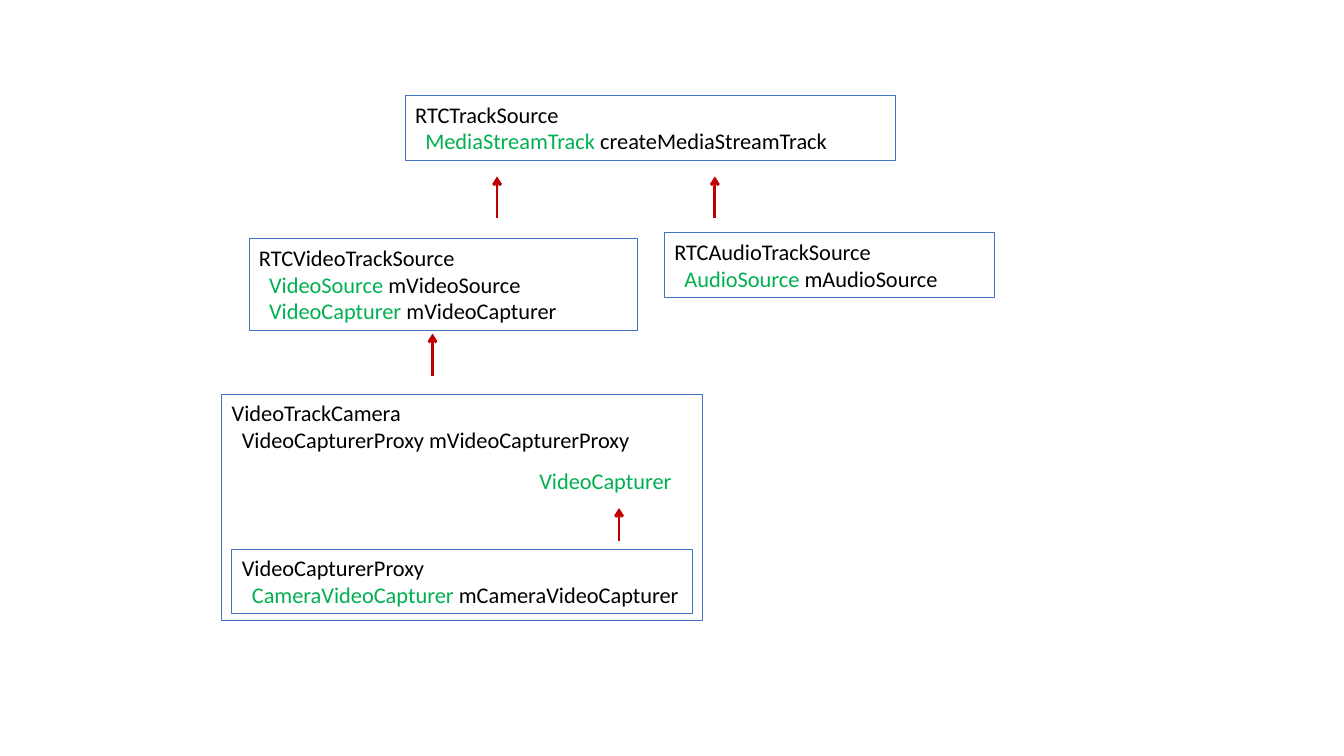
from lxml import etree
from pptx import Presentation
from pptx.dml.color import RGBColor
from pptx.enum.shapes import MSO_CONNECTOR, MSO_SHAPE
from pptx.enum.text import MSO_ANCHOR, PP_ALIGN
from pptx.oxml.ns import qn
from pptx.util import Inches, Pt

RECT, STRAIGHT = MSO_SHAPE.RECTANGLE, MSO_CONNECTOR.STRAIGHT
TOP, LEFT = MSO_ANCHOR.TOP, PP_ALIGN.LEFT

COLORS = {"text": "000000", "type": "00B050", "border": "4472C4", "arrow": "C00000"}
FONT, SIZE = "Calibri", Pt(16)
CELL = Inches(0.1)  # square grid cell, about 133 columns by 75 rows
LINE_ROWS, PAD_ROWS = 2.7, 1  # height of a text line and of both insets

# Class boxes: column, row, columns wide, class name, members (type, name)
CLASSES = [
    (40.2, 9.5, 48.6, "RTCTrackSource", [("MediaStreamTrack", "createMediaStreamTrack")]),
    (24.7, 23.7, 38.5, "RTCVideoTrackSource",
     [("VideoSource", "mVideoSource"), ("VideoCapturer", "mVideoCapturer")]),
    (65.9, 23.1, 32.7, "RTCAudioTrackSource", [("AudioSource", "mAudioSource")]),
    (23, 54.5, 45.7, "VideoCapturerProxy", [("CameraVideoCapturer", "mCameraVideoCapturer")]),
]
# Inheritance arrows: column, row of the tail, row of the head
ARROWS = [(49.3, 21.6, 17.5), (70.9, 21.6, 17.5), (42.9, 37.3, 33.1), (61.4, 53.7, 50.4)]


def cells(*counts):
    return [round(n * CELL) for n in counts]


def color(name):
    return RGBColor.from_string(COLORS[name])


def write_lines(tf, lines):
    """Each line is a list of (text, color name); members are indented one column."""
    tf.word_wrap = True
    tf.vertical_anchor = TOP
    for i, runs in enumerate(lines):
        p = tf.paragraphs[0] if i == 0 else tf.add_paragraph()
        p.alignment = LEFT
        p.font.name, p.font.size = FONT, SIZE
        if i:
            p._p.get_or_add_pPr().set("marL", str(CELL))
        for text, tone in runs:
            r = p.add_run()
            r.text = text
            r.font.color.rgb = color(tone)


def add_box(s, col, row, width, height, lines):
    sp = s.shapes.add_shape(RECT, *cells(col, row, width, height))
    sp.shadow.inherit = False
    sp.fill.background()
    sp.line.color.rgb = color("border")
    sp.line.width = Pt(0.75)
    write_lines(sp.text_frame, lines)


def add_class(s, col, row, width, name, members):
    lines = [[(name, "text")]]
    lines += [[(kind + " ", "type"), (member, "text")] for kind, member in members]
    add_box(s, col, row, width, len(lines) * LINE_ROWS + PAD_ROWS, lines)


def add_label(s, col, row, width, text):
    box = s.shapes.add_textbox(*cells(col, row, width, LINE_ROWS + PAD_ROWS))
    write_lines(box.text_frame, [[(text, "type")]])


def add_arrow(s, col, tail_row, head_row):
    line = s.shapes.add_connector(STRAIGHT, *cells(col, tail_row, col, head_row))
    line.line.color.rgb = color("arrow")
    line.line.width = Pt(2)
    etree.SubElement(line.line._get_or_add_ln(), qn("a:tailEnd"), type="arrow")
    etree.SubElement(line._element.spPr, qn("a:effectLst"))


def main():
    prs = Presentation()
    prs.slide_width, prs.slide_height = Inches(13.33), Inches(7.5)
    s = prs.slides.add_slide(prs.slide_layouts[6])

    # Camera box that encloses the capturer proxy
    add_box(s, 22, 39.1, 47.7, 22.5, [
        [("VideoTrackCamera", "text")],
        [("VideoCapturerProxy mVideoCapturerProxy", "text")],
    ])

    # Classes and their inheritance
    for item in CLASSES:
        add_class(s, *item)
    for arrow in ARROWS:
        add_arrow(s, *arrow)
    add_label(s, 52.5, 45.9, 15.8, "VideoCapturer")

    prs.save("out.pptx")


if __name__ == "__main__":
    main()
